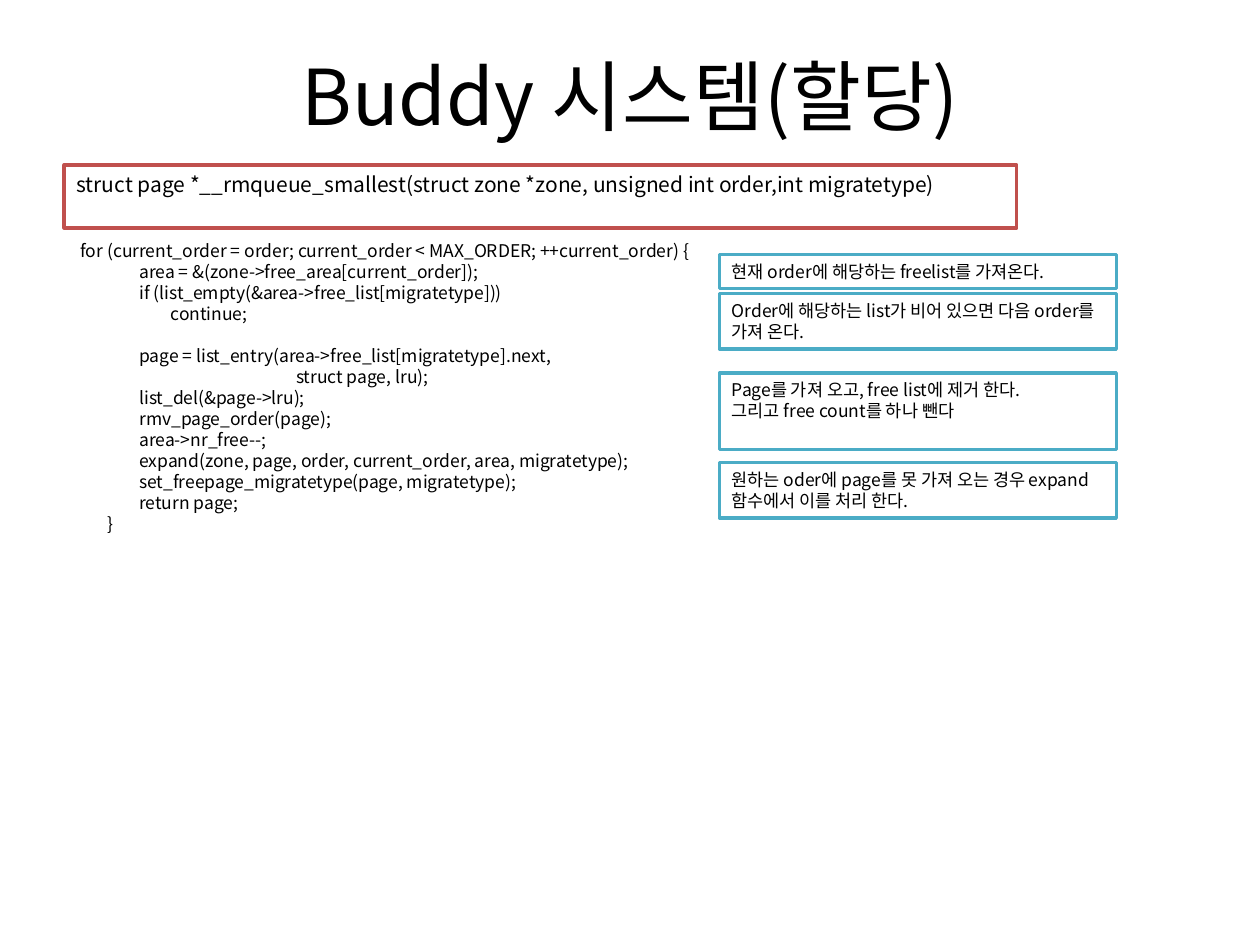
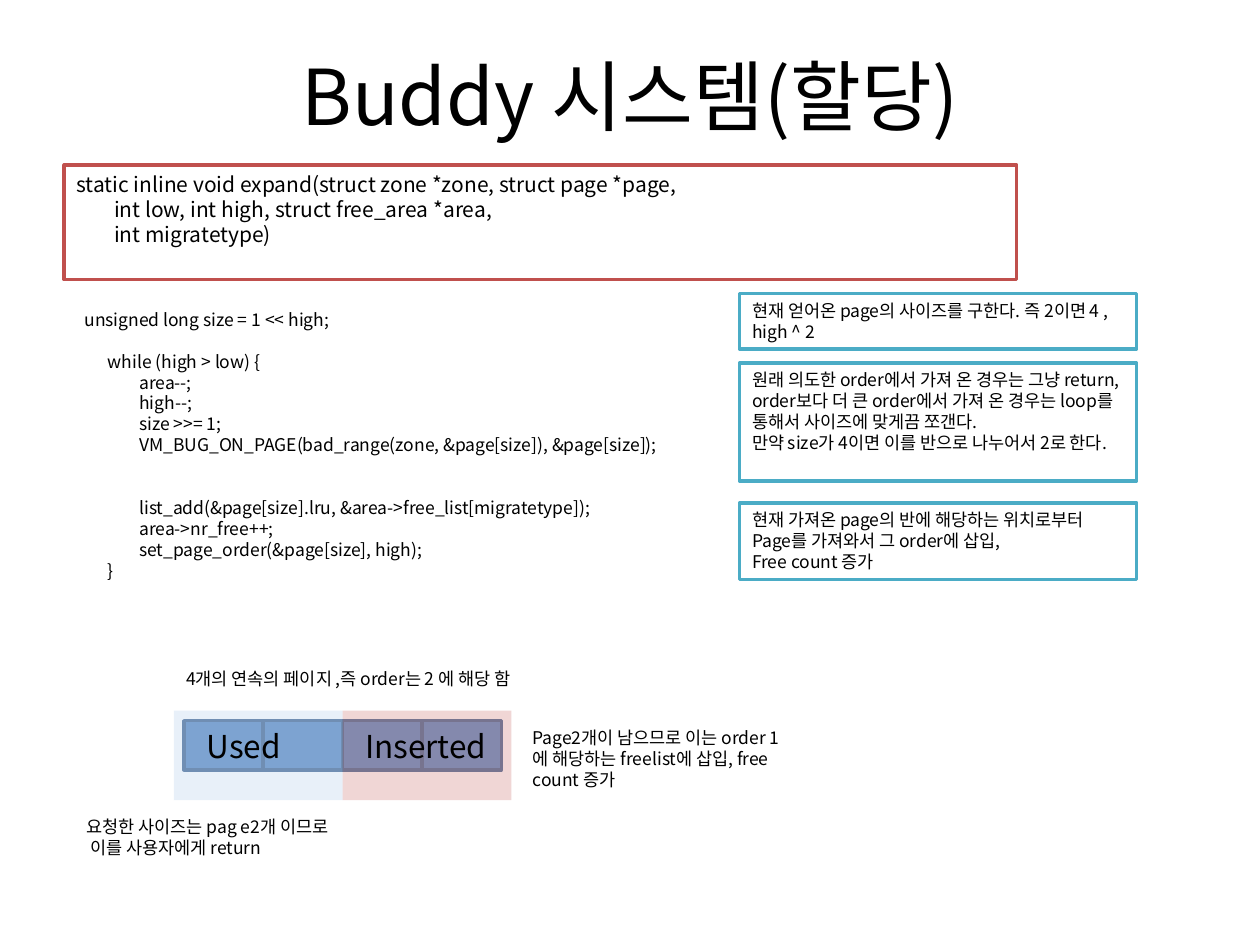
import pptx
import pptx.dml.color
import pptx.enum.shapes
import pptx.enum.text
import pptx.oxml.ns
import pptx.util
from lxml import etree

Inches = pptx.util.Inches
Pt = pptx.util.Pt
Align = pptx.enum.text.PP_ALIGN
Anchor = pptx.enum.text.MSO_ANCHOR

FONT = "Noto Sans CJK KR"
BLACK, WHITE = "000000", "FFFFFF"
RED, TEAL = "C0504D", "4BACC6"
CELL_FILL, CELL_LINE = "4F81BD", "3A5F8C"
USED_BAND, INSERTED_BAND = "C6D9F1", "D99694"
TITLE = "Buddy 시스템(할당)"
LEFT, WIDTH = 0.51, 7.56
NOTE_WIDTH = 3.15
LINE_RATIO = 1.2
COLUMN_RATIO = 0.224

SMALLEST_SIGNATURE = [
    "struct page *__rmqueue_smallest(struct zone *zone, unsigned int order,int migratetype)",
]
SMALLEST_CODE = [
    (1, "for (current_order = order; current_order < MAX_ORDER; ++current_order) {"),
    (16, "area = &(zone->free_area[current_order]);"),
    (16, "if (list_empty(&area->free_list[migratetype]))"),
    (24, "continue;"),
    (16, "page = list_entry(area->free_list[migratetype].next,", 1),
    (56, "struct page, lru);"),
    (16, "list_del(&page->lru);"),
    (16, "rmv_page_order(page);"),
    (16, "area->nr_free--;"),
    (16, "expand(zone, page, order, current_order, area, migratetype);"),
    (16, "set_freepage_migratetype(page, migratetype);"),
    (16, "return page;"),
    (8, "}"),
]
SMALLEST_NOTES = [
    (2.02, 0.27, ["현재 order에 해당하는 freelist를 가져온다."]),
    (2.33, 0.44, ["Order에 해당하는 list가 비어 있으면 다음 order를 가져 온다."]),
    (2.96, 0.61, ["Page를 가져 오고, free list에 제거 한다.", "그리고 free count를 하나 뺀다"]),
    (3.67, 0.44, ["원하는 oder에 page를 못 가져 오는 경우 expand 함수에서 이를 처리 한다."]),
]

EXPAND_SIGNATURE = [
    "static inline void expand(struct zone *zone, struct page *page,",
    (8, "int low, int high, struct free_area *area,"),
    (8, "int migratetype)"),
]
EXPAND_CODE = [
    (2, "unsigned long size = 1 << high;"),
    (8, "while (high > low) {", 1),
    (16, "area--;"),
    (16, "high--;"),
    (16, "size >>= 1;"),
    (16, "VM_BUG_ON_PAGE(bad_range(zone, &page[size]), &page[size]);"),
    (16, "list_add(&page[size].lru, &area->free_list[migratetype]);", 2),
    (16, "area->nr_free++;"),
    (16, "set_page_order(&page[size], high);"),
    (8, "}"),
]
EXPAND_NOTES = [
    (2.33, 0.44, ["현재 얻어온 page의 사이즈를 구한다. 즉 2이면 4 , high ^ 2"]),
    (2.88, 0.94, [
        "원래 의도한 order에서 가져 온 경우는 그냥 return, order보다 더 큰 order에서 "
        "가져 온 경우는 loop를 통해서 사이즈에 맞게끔 쪼갠다.",
        "만약 size가 4이면 이를 반으로 나누어서 2로 한다.",
    ]),
    (3.99, 0.61, [
        "현재 가져온 page의 반에 해당하는 위치로부터",
        "Page를 가져와서 그 order에 삽입,",
        "Free count 증가",
    ]),
]


def color(value):
    return pptx.dml.color.RGBColor.from_string(value)


def set_all(target, values):
    for name, value in values.items():
        setattr(target, name, value)


def add_span(para, text, size):
    span = para.add_run()
    span.text = text
    set_all(span.font, {"name": FONT, "size": Pt(size)})
    span.font.color.rgb = color(BLACK)
    east_asian = etree.SubElement(span.font._element, pptx.oxml.ns.qn("a:ea"))
    east_asian.set("typeface", FONT)


def write_lines(box, lines, size):
    set_all(box.text_frame, {"word_wrap": True, "vertical_anchor": Anchor.TOP})
    pitch = size * LINE_RATIO
    for index, line in enumerate(lines):
        columns, text, *gap = (0, line) if isinstance(line, str) else line
        para = box.text_frame.paragraphs[0] if index == 0 else box.text_frame.add_paragraph()
        set_all(para, {
            "alignment": Align.LEFT,
            "line_spacing": Pt(pitch),
            "space_before": Pt(pitch * sum(gap)),
        })
        indent = Pt(columns * size * COLUMN_RATIO)
        para._p.get_or_add_pPr().set("marL", str(indent))
        add_span(para, text, size)


def add_title(page):
    box = page.shapes.add_textbox(Inches(0.5), Inches(0.13), Inches(9), Inches(1.25))
    set_all(box.text_frame, {"word_wrap": True, "vertical_anchor": Anchor.MIDDLE})
    para = box.text_frame.paragraphs[0]
    para.alignment = Align.CENTER
    add_span(para, TITLE, 44)


def add_label(page, left, top, width, height, lines, size=10):
    box = page.shapes.add_textbox(Inches(left), Inches(top), Inches(width), Inches(height))
    write_lines(box, lines, size)


def add_rectangle(page, left, top, width, height, fill, line=None):
    box = page.shapes.add_shape(
        pptx.enum.shapes.MSO_SHAPE.RECTANGLE,
        Inches(left), Inches(top), Inches(width), Inches(height),
    )
    box.shadow.inherit = False
    box.fill.solid()
    box.fill.fore_color.rgb = color(fill)
    if line:
        box.line.color.rgb = color(line)
        box.line.width = Pt(2)
    else:
        box.line.fill.background()
    return box


def add_band(page, left, fill):
    band = add_rectangle(page, left, 5.64, 1.34, 0.71, fill)
    tint = band._element.spPr.find(".//" + pptx.oxml.ns.qn("a:srgbClr"))
    etree.SubElement(tint, pptx.oxml.ns.qn("a:alpha")).set("val", "39000")


def add_function_page(deck, signature, signature_height, code, code_top, code_height,
                      notes, notes_left):
    page = deck.slides.add_slide(deck.slide_layouts[6])
    add_title(page)
    add_label(page, LEFT, code_top, WIDTH, code_height, code)
    box = add_rectangle(page, LEFT, 1.31, WIDTH, signature_height, WHITE, RED)
    write_lines(box, signature, 12)
    for top, height, lines in notes:
        box = add_rectangle(page, notes_left, top, NOTE_WIDTH, height, WHITE, TEAL)
        write_lines(box, lines, 10)
    return page


def add_split_diagram(page):
    for index in range(4):
        add_rectangle(page, 1.46 + 0.63 * index, 5.72, 0.63, 0.39, CELL_FILL, CELL_LINE)
    add_label(page, 1.38, 5.25, 3.07, 0.27, ["4개의 연속의 페이지 ,즉 order는 2 에 해당 함"])
    add_band(page, 1.38, USED_BAND)
    add_label(page, 0.59, 6.43, 2.2, 0.44,
              ["요청한 사이즈는 pag e2개 이므로", (1, "이를 사용자에게 return")])
    add_band(page, 2.72, INSERTED_BAND)
    add_label(page, 4.13, 5.72, 2.2, 0.61,
              ["Page2개이 남으므로 이는 order 1에 해당하는 freelist에 삽입, free count 증가"])
    add_label(page, 1.54, 5.72, 1.02, 0.4, ["Used"], 18)
    add_label(page, 2.8, 5.72, 1.18, 0.4, ["Inserted"], 18)


def main():
    deck = pptx.Presentation()
    set_all(deck, {"slide_width": Inches(10), "slide_height": Inches(7.5)})
    add_function_page(deck, SMALLEST_SIGNATURE, 0.5, SMALLEST_CODE, 1.86, 2.46,
                      SMALLEST_NOTES, 5.71)
    page = add_function_page(deck, EXPAND_SIGNATURE, 0.91, EXPAND_CODE, 2.4, 2.29,
                             EXPAND_NOTES, 5.87)
    add_split_diagram(page)
    deck.save("out.pptx")


if __name__ == "__main__":
    main()
